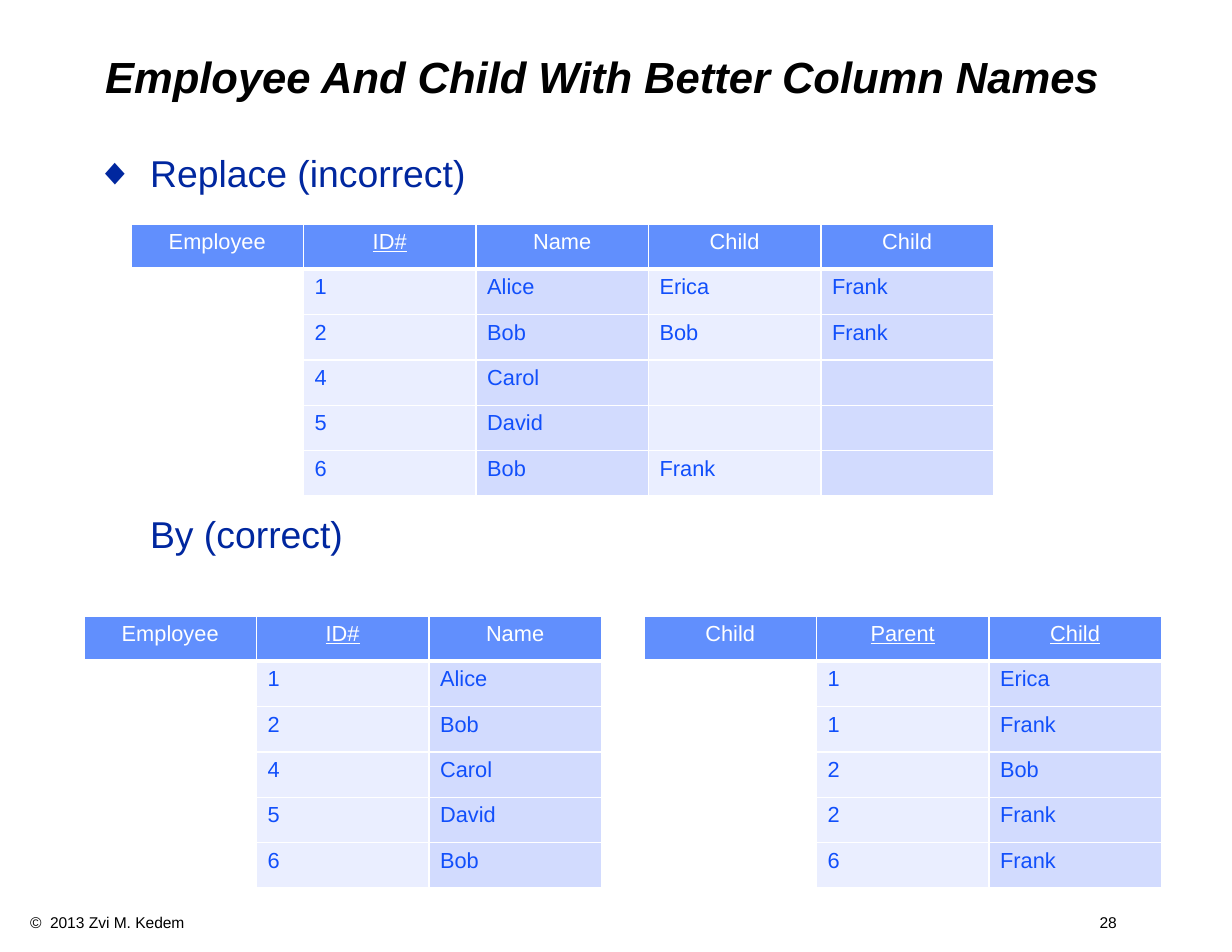
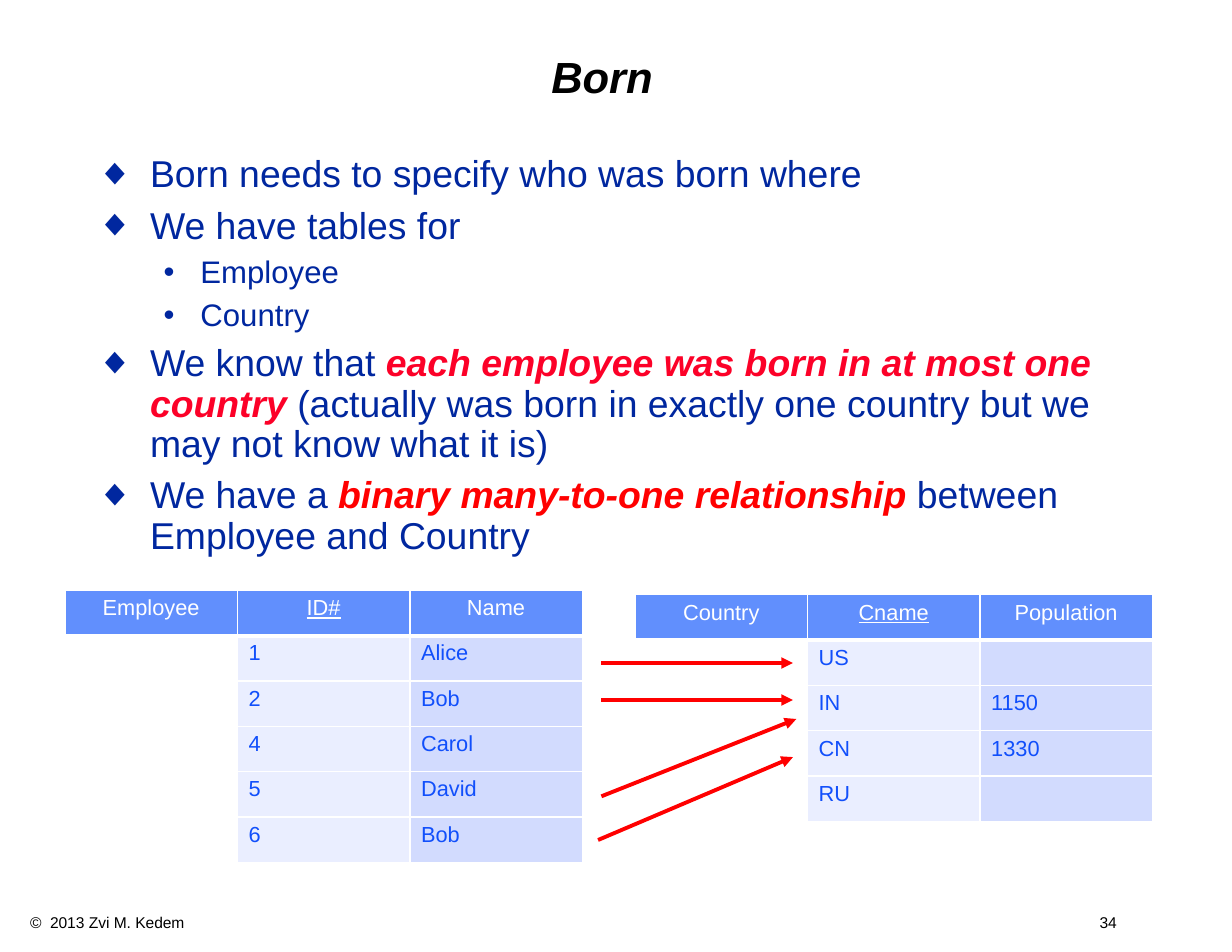
"""Build two slides on relational tables: better column names, and the Born relationship."""
from lxml import etree
from pptx import Presentation
from pptx.dml.color import RGBColor
from pptx.enum.shapes import MSO_CONNECTOR
from pptx.enum.text import MSO_ANCHOR, MSO_AUTO_SIZE, PP_ALIGN
from pptx.oxml.ns import qn
from pptx.util import Inches, Pt

STRAIGHT = MSO_CONNECTOR.STRAIGHT
CENTER, LEFT = PP_ALIGN.CENTER, PP_ALIGN.LEFT
MIDDLE, TOP = MSO_ANCHOR.MIDDLE, MSO_ANCHOR.TOP
NO_AUTOFIT = MSO_AUTO_SIZE.NONE

FONT = "Arial"
COLORS = {
    "black": "000000", "navy": "00279F", "crimson": "FC0128", "red": "FF0000",
    "white": "FFFFFF", "header": "618FFD", "value": "114FFB",
    "light": "EAEEFF", "dark": "D2DBFE",
}
COLUMN_WIDTH, ROW_HEIGHT = 1.54, 0.405
BULLETS = {0: ("◆", 0.48, -0.48, 24), 1: ("•", 0.93, -0.33, 20), None: (None, 0.48, 0, 24)}

EMPLOYEES = [("1", "Alice"), ("2", "Bob"), ("4", "Carol"), ("5", "David"), ("6", "Bob")]
EMPLOYEE_HEADER = ("Employee", "ID#", "Name")

SLIDES = [
    {
        "title": "Employee And Child With Better Column Names",
        "number": "28",
        "points": [
            (0, 0, [("Replace (incorrect)", "navy")]),
            (None, 206, [("By (correct)", "navy")]),
        ],
        "tables": [
            (1.17, 2, EMPLOYEE_HEADER + ("Child", "Child"), [1],
             [("1", "Alice", "Erica", "Frank"), ("2", "Bob", "Bob", "Frank"),
              ("4", "Carol", "", ""), ("5", "David", "", ""), ("6", "Bob", "Frank", "")]),
            (0.75, 5.5, EMPLOYEE_HEADER, [1], EMPLOYEES),
            (5.75, 5.5, ("Child", "Parent", "Child"), [1, 2],
             [("1", "Erica"), ("1", "Frank"), ("2", "Bob"), ("2", "Frank"), ("6", "Frank")]),
        ],
        "arrows": [],
    },
    {
        "title": "Born",
        "number": "34",
        "points": [
            (0, 0, [("Born needs to specify who was born where", "navy")]),
            (0, 7.2, [("We have tables for", "navy")]),
            (1, 6, [("Employee", "navy")]),
            (1, 6, [("Country", "navy")]),
            (0, 7.2, [("We know that ", "navy"),
                      ("each employee was born in at most one country", "crimson"),
                      (" (actually was born in exactly one country but we may not know what it is)",
                       "navy")]),
            (0, 7.2, [("We have a ", "navy"),
                      ("binary many-to-one relationship ", "red"),
                      ("between Employee and Country", "navy")]),
        ],
        "tables": [
            (0.58, 5.27, EMPLOYEE_HEADER, [1], EMPLOYEES),
            (5.67, 5.31, ("Country", "Cname", "Population"), [1],
             [("US", ""), ("IN", "1150"), ("CN", "1330"), ("RU", "")]),
        ],
        "arrows": [(5.37, 5.92, 7.08, 5.92), (5.37, 6.25, 7.08, 6.25),
                   (5.37, 7.11, 7.11, 6.42), (5.34, 7.5, 7.08, 6.76)],
    },
]


def add_run(paragraph, text, size, color, emphasis=False, underline=False):
    run = paragraph.add_run()
    run.text = text
    run.font.name = FONT
    run.font.size = Pt(size)
    run.font.bold = run.font.italic = emphasis
    run.font.underline = underline
    run.font.color.rgb = RGBColor.from_string(COLORS[color])


def style_cell(cell, text, fill, color, align, underline=False, bottom=1):
    paragraph = cell.text_frame.paragraphs[0]
    paragraph.alignment = align
    if text:
        add_run(paragraph, text, 14, color, underline=underline)
    properties = cell._tc.get_or_add_tcPr()
    for side, width in (("lnL", 1), ("lnR", 1), ("lnT", 1), ("lnB", bottom)):
        border = etree.SubElement(properties, qn(f"a:{side}"), w=str(Pt(width)))
        solid = etree.SubElement(border, qn("a:solidFill"))
        etree.SubElement(solid, qn("a:srgbClr"), val=COLORS["white"])
    cell.fill.solid()
    cell.fill.fore_color.rgb = RGBColor.from_string(COLORS[fill])


deck = Presentation()
deck.slide_width, deck.slide_height = Inches(11), Inches(8.5)

for content in SLIDES:
    slide = deck.slides.add_slide(deck.slide_layouts[1])
    title, body = slide.shapes.title, slide.placeholders[1]
    footer = slide.shapes.add_textbox(Inches(0.17), Inches(8.1), Inches(10.34), Inches(0.27))

    for holder, top, width, height, anchor in ((title, 0.25, 9.25, 0.92, MIDDLE),
                                               (body, 1.33, 9.33, 6.67, TOP)):
        holder.left, holder.top = Inches(0.75), Inches(top)
        holder.width, holder.height = Inches(width), Inches(height)
        frame = holder.text_frame
        frame.auto_size = NO_AUTOFIT
        frame.word_wrap = True
        frame.vertical_anchor = anchor
        frame.margin_left = frame.margin_right = Inches(0.11)
        frame.margin_top = frame.margin_bottom = Inches(0.06)

    heading = title.text_frame.paragraphs[0]
    heading.alignment = CENTER
    heading.line_spacing = 0.9
    add_run(heading, content["title"], 28, "black", emphasis=True)

    for index, (level, space, runs) in enumerate(content["points"]):
        paragraphs = body.text_frame
        point = paragraphs.add_paragraph() if index else paragraphs.paragraphs[0]
        bullet, margin, indent, size = BULLETS[level]
        point.level = level or 0
        point.line_spacing = 0.9
        point.space_before = Pt(space)
        properties = point._p.get_or_add_pPr()
        properties.set("marL", str(Inches(margin)))
        properties.set("indent", str(Inches(indent)))
        if bullet:
            bullet_color = etree.SubElement(properties, qn("a:buClr"))
            etree.SubElement(bullet_color, qn("a:srgbClr"), val=COLORS["navy"])
            etree.SubElement(properties, qn("a:buFont"), typeface=FONT)
            etree.SubElement(properties, qn("a:buChar"), char=bullet)
        else:
            etree.SubElement(properties, qn("a:buNone"))
        for text, color in runs:
            add_run(point, text, size, color, emphasis=color != "navy")

    footer.text_frame.word_wrap = True
    credit = footer.text_frame.paragraphs[0]
    tabs = etree.SubElement(credit._p.get_or_add_pPr(), qn("a:tabLst"))
    etree.SubElement(tabs, qn("a:tab"), pos=str(Inches(9.55)), algn="l")
    add_run(credit, "©  2013 Zvi M. Kedem\t" + content["number"], 10, "black")

    for left, top, header, keys, records in content["tables"]:
        rows, columns = len(records) + 1, len(header)
        relation = slide.shapes.add_table(
            rows, columns, Inches(left), Inches(top),
            Inches(COLUMN_WIDTH * columns), Inches(ROW_HEIGHT * rows)).table
        relation.first_row = relation.horz_banding = False
        for column in relation.columns:
            column.width = Inches(COLUMN_WIDTH)
        for row in relation.rows:
            row.height = Inches(ROW_HEIGHT)
        for c, name in enumerate(header):
            style_cell(relation.cell(0, c), name, "header", "white", CENTER, c in keys, 3)
        for r, record in enumerate(records, 1):
            for c, value in enumerate(("",) + record):
                fill = "white" if c == 0 else "light" if c % 2 else "dark"
                style_cell(relation.cell(r, c), value, fill, "value", LEFT)

    for ends in content["arrows"]:
        arrow = slide.shapes.add_connector(STRAIGHT, *(Inches(end) for end in ends))
        arrow.line.color.rgb = RGBColor.from_string(COLORS["red"])
        arrow.line.width = Pt(2.5)
        etree.SubElement(arrow.line._get_or_add_ln(), qn("a:tailEnd"), type="triangle")
        etree.SubElement(arrow._element.spPr, qn("a:effectLst"))

deck.save("out.pptx")
